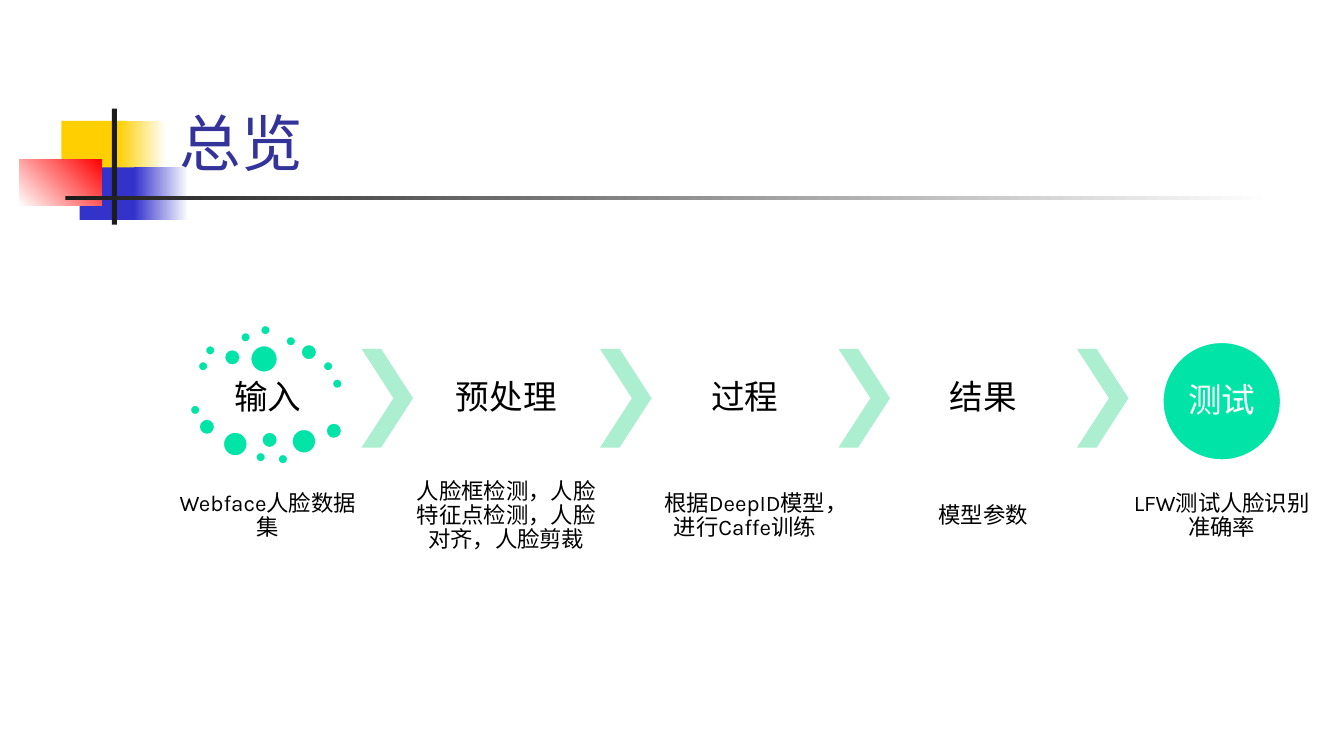
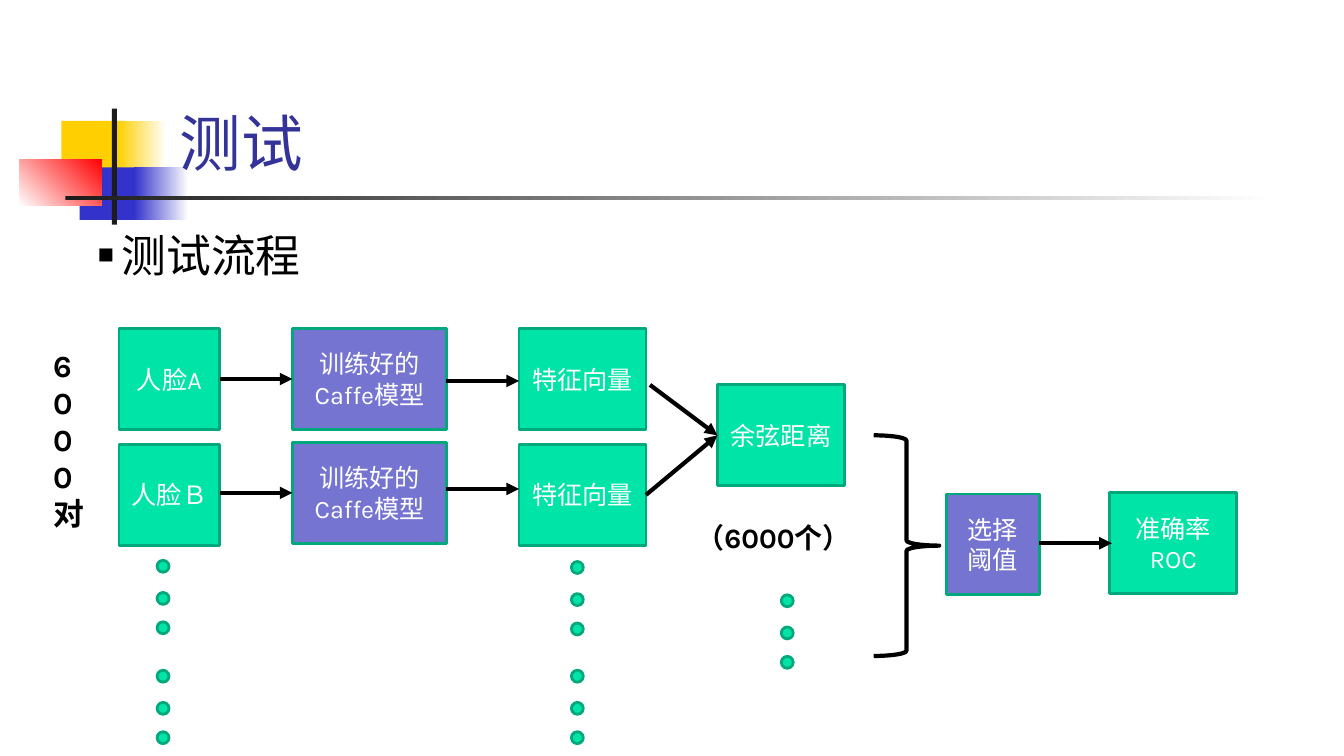
import pptx
import pptx.util
import pptx.dml.color
import pptx.enum.shapes
import pptx.enum.text
import pptx.oxml.ns
from lxml import etree

Cm, Pt = pptx.util.Cm, pptx.util.Pt
RGB = pptx.dml.color.RGBColor
SHAPE = pptx.enum.shapes.MSO_SHAPE
ALIGN = pptx.enum.text.PP_ALIGN
ANCHOR = pptx.enum.text.MSO_ANCHOR
qn = pptx.oxml.ns.qn

FONT = "Karla"
WHITE = RGB(0xFF, 0xFF, 0xFF)
BLACK = RGB(0, 0, 0)
CHARCOAL = RGB(0x1C, 0x1C, 0x1C)
YELLOW = RGB(0xFF, 0xCF, 0x01)
BLUE = RGB(0x33, 0x33, 0xCC)
RED = RGB(0xFF, 0, 0)
NAVY = RGB(0x33, 0x33, 0x99)
MINT = RGB(0x00, 0xE4, 0xA8)
PALE_MINT = RGB(0xAB, 0xEF, 0xD0)
DARK_MINT = RGB(0x00, 0xA8, 0x7C)
VIOLET = RGB(0x75, 0x75, 0xD1)

# All content lengths are centimetres: left, top, width, height.
# Master emblem: box, first colour, last colour (None when solid), angle
EMBLEM = [
    ((1.55, 3.05, 1.62, 1.32), YELLOW, None, 0),
    ((2.97, 3.05, 1.22, 1.32), YELLOW, WHITE, 0),
    ((2.01, 4.22, 1.55, 1.32), BLUE, None, 0),
    ((3.38, 4.22, 1.37, 1.32), BLUE, WHITE, 0),
    ((0.48, 4.01, 2.08, 1.17), WHITE, RED, 45),
    ((2.82, 2.74, 0.13, 2.92), CHARCOAL, None, 0),
    ((1.65, 4.95, 30.45, 0.08), CHARCOAL, WHITE, 0),
]

STAGES = [
    ("输入", "Webface人脸数据集"),
    ("预处理", "人脸框检测，人脸特征点检测，人脸对齐，人脸剪裁"),
    ("过程", "根据DeepID模型，进行Caffe训练"),
    ("结果", "模型参数"),
    ("测试", "LFW测试人脸识别准确率"),
]
STAGE_LEFT, STAGE_PITCH, STAGE_WIDTH = 4.39, 6.01, 4.72
LABEL_TOP, LABEL_WIDTH, LABEL_HEIGHT = 8.79, 3.53, 2.49
CIRCLE_TOP, CIRCLE_SIZE = 8.61, 3.0

# Dot diameter: left and top of each dot around the input label
INPUT_DOTS = {
    0.28: [(4.98, 9.09), (5.16, 8.69), (6.05, 8.36), (6.55, 8.18), (7.19, 8.46),
           (8.13, 9.09), (8.36, 9.53), (4.78, 10.19), (6.43, 11.38), (6.99, 11.43)],
    0.43: [(5.64, 8.79), (7.57, 8.66), (5.0, 10.54), (6.58, 10.87), (8.2, 10.64)],
    0.64: [(5.61, 10.87), (7.34, 10.8)],
    0.71: [(6.3, 8.69)],
}

# Test flow: lines of text, left, top, width, fill
STEP_HEIGHT = 2.54
STEPS = [
    (["人脸A"], 3.0, 8.28, 2.54, MINT),
    (["人脸Ｂ"], 3.0, 11.2, 2.54, MINT),
    (["训练好的Caffe模型"], 7.37, 8.28, 3.89, VIOLET),
    (["训练好的Caffe模型"], 7.37, 11.15, 3.89, VIOLET),
    (["特征向量"], 13.08, 8.28, 3.2, MINT),
    (["特征向量"], 13.08, 11.2, 3.2, MINT),
    (["余弦距离"], 18.08, 9.7, 3.2, MINT),
    (["选择阈值"], 23.85, 12.45, 2.34, VIOLET),
    (["准确率", "ROC"], 27.97, 12.42, 3.2, MINT),
]
ARROWS = [
    (5.54, 9.55, 7.37, 9.55), (5.54, 12.42, 7.37, 12.42),
    (11.25, 9.6, 13.08, 9.6), (11.25, 12.32, 13.08, 12.32),
    (16.38, 9.7, 18.08, 10.97), (16.28, 12.47, 18.08, 10.97),
    (26.19, 13.69, 28.02, 13.69),
]
ELLIPSES = [(3.96, 14.12), (3.96, 16.89), (14.4, 14.15), (14.4, 16.89), (19.69, 14.99)]
ELLIPSE_STEPS = (0, 0.81, 1.55)
ELLIPSE_DOT = 0.3


def write(frame, lines, size, color, bold=False, align=ALIGN.LEFT, spacing=None):
    """Write one run per line, each line its own paragraph."""
    for number, line in enumerate(lines):
        paragraph = frame.add_paragraph() if number else frame.paragraphs[0]
        paragraph.alignment = align
        if spacing:
            paragraph.line_spacing = spacing
        run = paragraph.add_run()
        run.text = line
        run.font.size = Pt(size)
        run.font.name = FONT
        run.font.bold = bold
        run.font.color.rgb = color


def set_frame(frame, anchor, inset=None):
    """Wrap the text, anchor it and optionally use one inset on all sides."""
    frame.word_wrap = True
    frame.auto_size = pptx.enum.text.MSO_AUTO_SIZE.NONE
    frame.vertical_anchor = anchor
    if inset is not None:
        frame.margin_left = frame.margin_right = Cm(inset)
        frame.margin_top = frame.margin_bottom = Cm(inset)


def add_block(slide, kind, box, fill=None, line=None, weight=2):
    """Add a flat preset shape."""
    block = slide.shapes.add_shape(kind, *map(Cm, box))
    block.shadow.inherit = False
    if fill is None:
        block.fill.background()
    else:
        block.fill.solid()
        block.fill.fore_color.rgb = fill
    if line is None:
        block.line.fill.background()
    else:
        block.line.color.rgb = line
        block.line.width = Pt(weight)
    return block


def add_label(slide, box, lines, size, anchor=ANCHOR.MIDDLE, inset=None, **style):
    """Add a black text box."""
    frame = slide.shapes.add_textbox(*map(Cm, box)).text_frame
    set_frame(frame, anchor, inset)
    write(frame, lines, size, BLACK, **style)


def add_arrow(slide, ends):
    """Add a black arrow between two points."""
    arrow = slide.shapes.add_connector(
        pptx.enum.shapes.MSO_CONNECTOR.STRAIGHT, *map(Cm, ends))
    arrow.line.color.rgb = BLACK
    arrow.line.width = Pt(3)
    etree.SubElement(arrow.line._get_or_add_ln(), qn("a:tailEnd"), type="triangle")
    etree.SubElement(arrow.element.spPr, qn("a:effectLst"))


def place(placeholder, box):
    """Move a placeholder to a box."""
    placeholder.left, placeholder.top, placeholder.width, placeholder.height = map(Cm, box)


def add_titled_slide(prs, layout, title):
    """Add a slide with the shared title style."""
    slide = prs.slides.add_slide(prs.slide_layouts[layout])
    place(slide.shapes.title, (4.27, 0.58, 28.85, 4.06))
    frame = slide.shapes.title.text_frame
    set_frame(frame, ANCHOR.BOTTOM)
    write(frame, [title], 44, NAVY)
    return slide


def add_emblem(prs, slide):
    """Build the emblem and move it onto the master, behind the placeholders."""
    for number, (box, first, last, angle) in enumerate(EMBLEM):
        part = add_block(slide, SHAPE.RECTANGLE, box, first)
        if last is not None:
            part.fill.gradient()
            part.fill.gradient_angle = angle
            for stop, color, position in zip(part.fill.gradient_stops, (first, last), (0, 1)):
                stop.color.rgb = color
                stop.position = position
        part.element.nvSpPr.cNvPr.id = 100 + number
        prs.slide_master.shapes.element.insert(2 + number, part.element)


def build_overview(slide):
    """Draw the five stages with chevrons between them."""
    for number, (label, caption) in enumerate(STAGES):
        left = STAGE_LEFT + number * STAGE_PITCH
        middle = left + STAGE_WIDTH / 2
        centred = {"align": ALIGN.CENTER, "spacing": 0.9}
        if number < len(STAGES) - 1:
            add_label(slide, (middle - LABEL_WIDTH / 2, LABEL_TOP, LABEL_WIDTH, LABEL_HEIGHT),
                      [label], 24, inset=0.08, **centred)
            chevron = add_block(slide, SHAPE.CHEVRON,
                                (left + STAGE_WIDTH, LABEL_TOP, 1.3, LABEL_HEIGHT), PALE_MINT)
            chevron.adjustments[0] = 0.62
        else:
            circle = add_block(slide, SHAPE.OVAL,
                               (middle - CIRCLE_SIZE / 2, CIRCLE_TOP, CIRCLE_SIZE, CIRCLE_SIZE),
                               MINT, WHITE)
            set_frame(circle.text_frame, ANCHOR.MIDDLE, 0)
            write(circle.text_frame, [label], 24, WHITE, **centred)
        add_label(slide, (left, 11.56, STAGE_WIDTH, 2.9), [caption], 16, inset=0.05, **centred)
    for size, corners in INPUT_DOTS.items():
        for left, top in corners:
            add_block(slide, SHAPE.OVAL, (left, top, size, size), MINT, WHITE)


def build_test_flow(slide):
    """Draw the test procedure from face pairs to accuracy."""
    heading = slide.placeholders[1]
    place(heading, (2.21, 5.61, 28.78, 11.43))
    set_frame(heading.text_frame, ANCHOR.TOP)
    write(heading.text_frame, ["测试流程"], 32, BLACK)
    paragraph = heading.text_frame.paragraphs[0]
    paragraph.space_before = Pt(0)
    properties = paragraph._p.get_or_add_pPr()
    properties.set("marL", str(Cm(0.6)))
    properties.set("indent", str(-Cm(0.6)))
    etree.SubElement(properties, qn("a:buSzPct"), val="60000")
    etree.SubElement(properties, qn("a:buChar"), char="■")

    for lines, left, top, width, fill in STEPS:
        step = add_block(slide, SHAPE.RECTANGLE, (left, top, width, STEP_HEIGHT), fill, DARK_MINT)
        set_frame(step.text_frame, ANCHOR.MIDDLE)
        write(step.text_frame, lines, 18, WHITE, align=ALIGN.CENTER)
    for left, top in ELLIPSES:
        for offset in ELLIPSE_STEPS:
            add_block(slide, SHAPE.OVAL, (left, top + offset, ELLIPSE_DOT, ELLIPSE_DOT),
                      MINT, DARK_MINT)
    for ends in ARROWS:
        add_arrow(slide, ends)
    brace = add_block(slide, SHAPE.RIGHT_BRACE, (22.02, 10.97, 1.65, 5.56), line=BLACK, weight=3)
    brace.adjustments[0] = 0.08
    add_label(slide, (17.3, 12.98, 5.11, 1.09), ["（6000个）"], 20, ANCHOR.TOP, bold=True)
    add_label(slide, (1.09, 8.61, 1.35, 5.11), list("6000对"), 22, ANCHOR.TOP, bold=True)


prs = pptx.Presentation()
prs.slide_width, prs.slide_height = Cm(33.87), Cm(19.05)
overview = add_titled_slide(prs, 5, "总览")
add_emblem(prs, overview)
build_overview(overview)
build_test_flow(add_titled_slide(prs, 1, "测试"))
prs.save("out.pptx")
